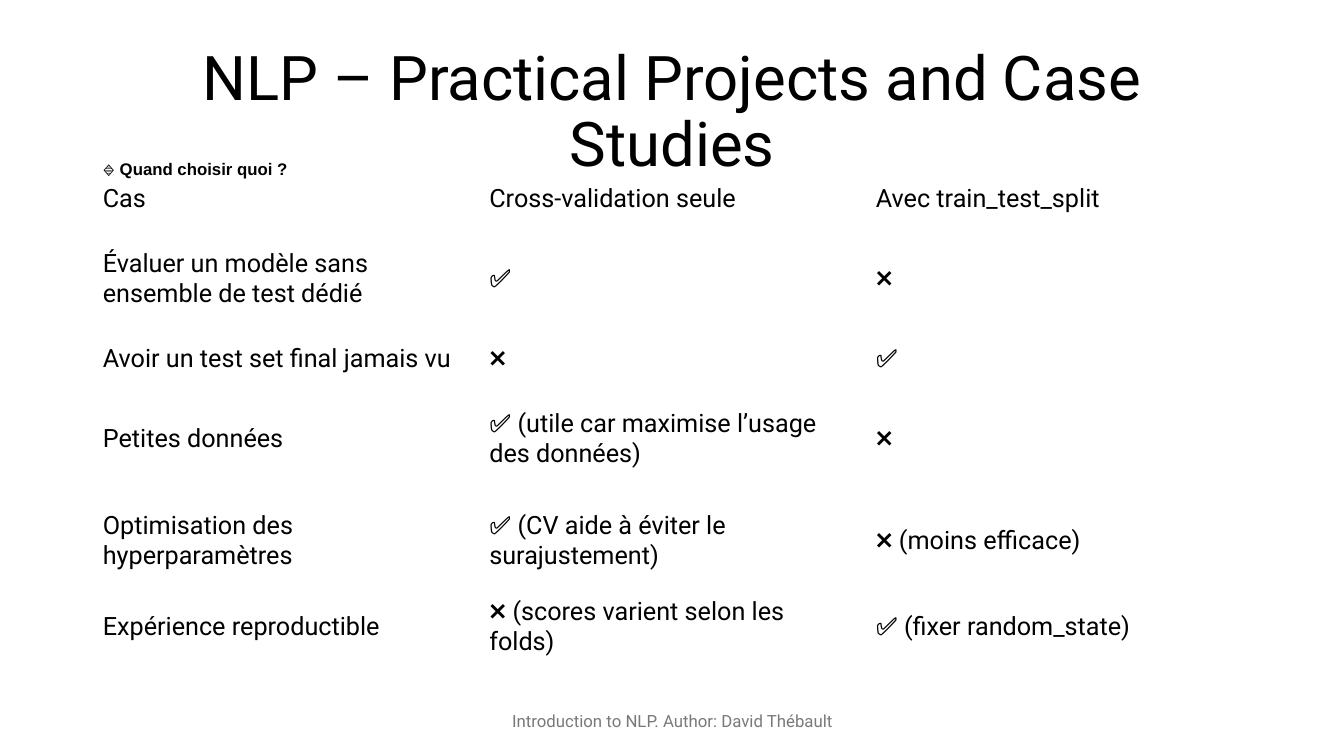
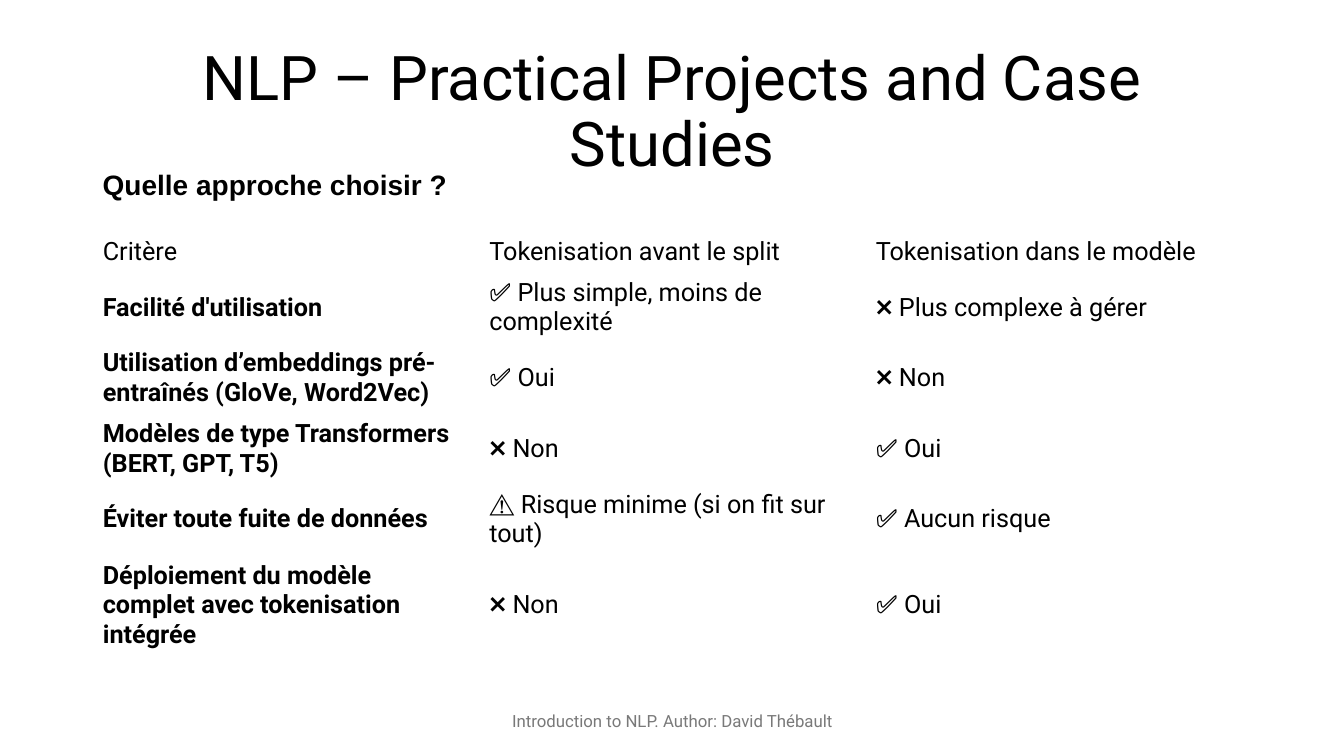
import pptx
import pptx.util
import pptx.dml.color
import pptx.enum.text

PX = 9144
BLACK = "000000"
GREY = "797979"
BODY_FONT = "Roboto"
HEADING_FONT = "Arial"
TITLE = "NLP – Practical Projects and Case Studies"
FOOTER = "Introduction to NLP. Author: David Thébault"
CENTER = pptx.enum.text.PP_ALIGN.CENTER
LEFT = pptx.enum.text.PP_ALIGN.LEFT
MIDDLE = pptx.enum.text.MSO_ANCHOR.MIDDLE

CROSS_VALIDATION = [
    ["Cas", "Cross-validation seule", "Avec train_test_split"],
    ["Évaluer un modèle sans ensemble de test dédié", "✅", "❌"],
    ["Avoir un test set final jamais vu", "❌", "✅"],
    ["Petites données", "✅ (utile car maximise l’usage des données)", "❌"],
    ["Optimisation des hyperparamètres", "✅ (CV aide à éviter le surajustement)", "❌ (moins efficace)"],
    ["Expérience reproductible", "❌ (scores varient selon les folds)", "✅ (fixer random_state)"],
]
TOKENISATION = [
    ["Critère", "Tokenisation avant le split", "Tokenisation dans le modèle"],
    ["Facilité d'utilisation", "✅ Plus simple, moins de complexité", "❌ Plus complexe à gérer"],
    ["Utilisation d’embeddings pré-entraînés (GloVe, Word2Vec)", "✅ Oui", "❌ Non"],
    ["Modèles de type Transformers (BERT, GPT, T5)", "❌ Non", "✅ Oui"],
    ["Éviter toute fuite de données", "⚠️ Risque minime (si on fit sur tout)", "✅ Aucun risque"],
    ["Déploiement du modèle complet avec tokenisation intégrée", "❌ Non", "✅ Oui"],
]


def px(length):
    return pptx.util.Emu(length * PX)


def color(hex_string):
    return pptx.dml.color.RGBColor.from_string(hex_string)


def write(frame, text, size, font=BODY_FONT, hex_color=BLACK, bold=False, align=LEFT):
    frame.text = text
    frame.word_wrap = True
    paragraph = frame.paragraphs[0]
    paragraph.alignment = align
    for run in paragraph.runs:
        run.font.size = pptx.util.Pt(size)
        run.font.name = font
        run.font.bold = bold
        run.font.color.rgb = color(hex_color)


def add_title(slide, left, top, width, height):
    title = slide.shapes.title
    title.left, title.top, title.width, title.height = map(px, (left, top, width, height))
    frame = title.text_frame
    write(frame, TITLE, 44, align=CENTER)
    frame.auto_size = pptx.enum.text.MSO_AUTO_SIZE.NONE
    frame.vertical_anchor = MIDDLE
    frame.paragraphs[0].line_spacing = 0.9


def add_label(slide, box, text, size, **style):
    frame = slide.shapes.add_textbox(*map(px, box)).text_frame
    write(frame, text, size, **style)
    frame.vertical_anchor = MIDDLE


def add_comparison(slide, left, top, width, row_heights, rows, bold_criteria):
    frame = slide.shapes.add_table(
        len(rows), len(rows[0]), px(left), px(top), px(width), px(sum(row_heights)))
    comparison = frame.table
    comparison.first_row = False
    comparison.horz_banding = False
    for row, height in zip(comparison.rows, row_heights):
        row.height = px(height)
    for row_index, texts in enumerate(rows):
        for column_index, text in enumerate(texts):
            cell = comparison.cell(row_index, column_index)
            cell.fill.background()
            cell.vertical_anchor = MIDDLE
            bold = bold_criteria and row_index > 0 and column_index == 0
            write(cell.text_frame, text, 18, bold=bold)


def add_comparison_slide(deck, heading, heading_box, heading_size, top, row_heights, rows,
                         bold_criteria=False):
    slide = deck.slides.add_slide(deck.slide_layouts[5])
    add_title(slide, 92, 40, 1150, 145)
    add_label(slide, (442, 695, 450, 40), FOOTER, 12, hex_color=GREY, align=CENTER)
    add_comparison(slide, 92, top, 1150, row_heights, rows, bold_criteria)
    add_label(slide, heading_box, heading, heading_size, font=HEADING_FONT, bold=True)


def main():
    deck = pptx.Presentation()
    deck.slide_width = px(1333)
    deck.slide_height = px(750)
    add_comparison_slide(deck, "🔹 Quand choisir quoi ?", (92, 142, 1150, 50), 12,
                         168, [58, 101, 58, 101, 101, 58], CROSS_VALIDATION)
    add_comparison_slide(deck, "Quelle approche choisir ?", (92, 161, 1150, 44), 20,
                         230, [38, 69, 69, 69, 69, 98], TOKENISATION, bold_criteria=True)
    deck.save("out.pptx")


if __name__ == "__main__":
    main()
